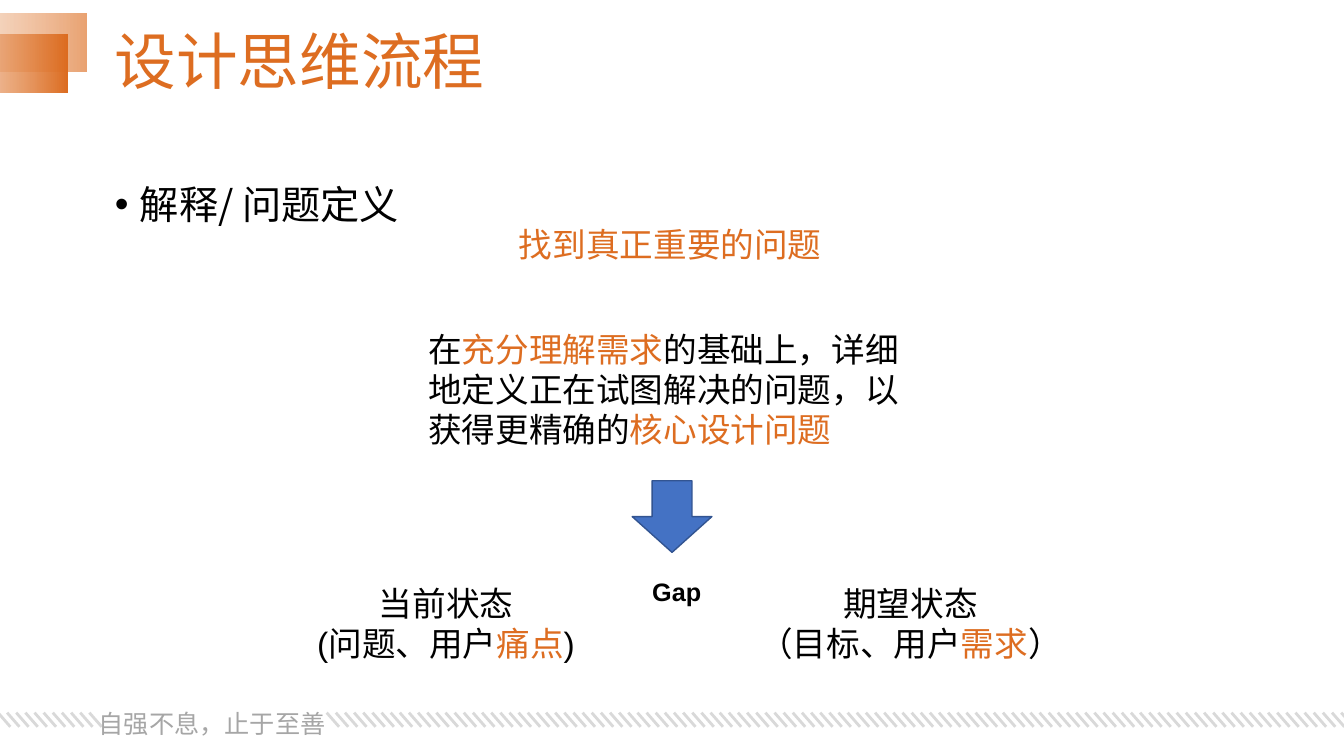
from lxml import etree
from pptx import Presentation
from pptx.dml.color import RGBColor
from pptx.enum.shapes import MSO_CONNECTOR, MSO_SHAPE
from pptx.enum.text import MSO_ANCHOR, MSO_AUTO_SIZE, PP_ALIGN
from pptx.oxml.ns import qn
from pptx.util import Inches, Pt

RECT, DOWN = MSO_SHAPE.RECTANGLE, MSO_SHAPE.DOWN_ARROW
STRAIGHT = MSO_CONNECTOR.STRAIGHT
TOP, MIDDLE = MSO_ANCHOR.TOP, MSO_ANCHOR.MIDDLE
GROW, FIXED = MSO_AUTO_SIZE.SHAPE_TO_FIT_TEXT, MSO_AUTO_SIZE.NONE
LEFT, CENTER, JUSTIFY = PP_ALIGN.LEFT, PP_ALIGN.CENTER, PP_ALIGN.JUSTIFY

ORANGE = RGBColor(0xDD, 0x6D, 0x21)
PEACH = RGBColor(0xEA, 0xA3, 0x72)
BLACK = RGBColor(0, 0, 0)
WHITE = RGBColor(0xFF, 0xFF, 0xFF)
GREY = RGBColor(0xA6, 0xA6, 0xA6)
PALE = RGBColor(0xD9, 0xD9, 0xD9)
BLUE = RGBColor(0x44, 0x72, 0xC4)
NAVY = RGBColor(0x32, 0x54, 0x91)
SC, JP, ARIAL = "Noto Sans CJK SC", "Noto Sans CJK JP", "Arial"

BANDS = [((-11.93, 1.73, 18.38, 7.73), PEACH, 25),
         ((-13.35, 4.53, 18.38, 7.73), ORANGE, 0)]
HATCHES = [(-0.15, 11), (24.31, 112)]
HATCH_TOP, HATCH_W, HATCH_H, PITCH = 94.27, 0.92, 1.87, 0.68
ARROW = (47.04, 63.6, 5.93, 9.47)

BASE = {"size": 24, "font": ARIAL, "east": SC, "bold": False, "align": LEFT,
        "spacing": 1.0, "anchor": TOP, "wrap": True, "fit": GROW, "bullet": None}
TEXTS = [
    ((6.6, 91.07, 18.45, 6.93), [[("自强不息，止于至善", GREY)]],
     {"size": 18, "font": JP, "east": JP, "align": JUSTIFY, "spacing": 1.5}),
    ((7.8, 1.47, 86.27, 14.27), [[("设计思维流程", ORANGE)]],
     {"size": 44, "font": SC, "spacing": 0.9, "anchor": MIDDLE, "fit": FIXED}),
    ((7.8, 23.87, 86.27, 64.53), [[("解释/ 问题定义", BLACK)]],
     {"size": 28, "font": SC, "spacing": 0.9, "fit": FIXED, "bullet": "•"}),
    ((37.88, 28.93, 24.23, 6.8), [[("找到真正重要的问题", ORANGE)]],
     {"wrap": False}),
    ((15.75, 76.4, 34.88, 12.13),
     [[("当前状态", BLACK)],
      [("(问题、用户", BLACK), ("痛点", ORANGE), (")", BLACK)]],
     {"align": CENTER}),
    ((31.13, 42.8, 37.81, 17.47),
     [[("在", BLACK), ("充分理解需求", ORANGE),
       ("的基础上，详细地定义正在试图解决的问题，以获得更精确的", BLACK),
       ("核心设计问题", ORANGE)]], {}),
    ((53.26, 76.4, 28.96, 12.13),
     [[("期望状态", BLACK)],
      [("（目标、用户", BLACK), ("需求", ORANGE), ("）", BLACK)]],
     {"align": CENTER}),
    ((47.79, 75.6, 5.18, 5.33), [[("Gap", BLACK)]],
     {"size": 18, "bold": True, "wrap": False}),
]

prs = Presentation()
prs.slide_width, prs.slide_height = Inches(13.33), Inches(7.5)
s = prs.slides.add_slide(prs.slide_layouts[6])


def place(left, top, width, height):
    w, h = prs.slide_width / 100, prs.slide_height / 100
    return [round(v) for v in (left * w, top * h, width * w, height * h)]


def add_band(box, color, alpha):
    sp = s.shapes.add_shape(RECT, *place(*box))
    sp.shadow.inherit = False
    sp.line.fill.background()
    sp.fill.gradient()
    sp.fill.gradient_angle = 0
    stops = sp.fill.gradient_stops
    for stop, position, rgb in zip(stops, (0, 1), (WHITE, color)):
        stop.position = position
        stop.color.rgb = rgb
    clr = next(sp._element.iter(qn("a:srgbClr")))
    etree.SubElement(clr, qn("a:alpha")).set("val", str(alpha * 1000))


def add_hatch(start, count):
    for i in range(count):
        x, y, w, h = place(start + i * PITCH, HATCH_TOP, HATCH_W, HATCH_H)
        line = s.shapes.add_connector(STRAIGHT, x, y, x + w, y + h)
        line.line.color.rgb = PALE
        line.line.width = Pt(2)
        etree.SubElement(line._element.spPr, qn("a:effectLst"))


def add_bullet(p, char):
    pPr = p._p.get_or_add_pPr()
    pPr.set("marL", str(Inches(0.25)))
    pPr.set("indent", str(-Inches(0.25)))
    etree.SubElement(pPr, qn("a:buFont")).set("typeface", ARIAL)
    etree.SubElement(pPr, qn("a:buChar")).set("char", char)


def add_text(box, paragraphs, changes):
    fmt = {**BASE, **changes}
    tf = s.shapes.add_textbox(*place(*box)).text_frame
    for name, key in (("word_wrap", "wrap"), ("auto_size", "fit"),
                      ("vertical_anchor", "anchor")):
        setattr(tf, name, fmt[key])
    for i, runs in enumerate(paragraphs):
        p = tf.add_paragraph() if i else tf.paragraphs[0]
        if fmt["bullet"]:
            add_bullet(p, fmt["bullet"])
        p.alignment, p.line_spacing = fmt["align"], fmt["spacing"]
        for text, color in runs:
            r = p.add_run()
            r.text = text
            for name, value in (("size", Pt(fmt["size"])), ("bold", fmt["bold"]),
                                ("name", fmt["font"])):
                setattr(r.font, name, value)
            r.font.color.rgb = color
            ea = etree.Element(qn("a:ea"), typeface=fmt["east"])
            r.font._element.find(qn("a:latin")).addnext(ea)


for band in BANDS:
    add_band(*band)
for hatch in HATCHES:
    add_hatch(*hatch)
for item in TEXTS:
    add_text(*item)

arrow = s.shapes.add_shape(DOWN, *place(*ARROW))
arrow.shadow.inherit = False
arrow.fill.solid()
arrow.fill.fore_color.rgb = BLUE
arrow.line.color.rgb = NAVY
arrow.line.width = Pt(1)

prs.save("out.pptx")
